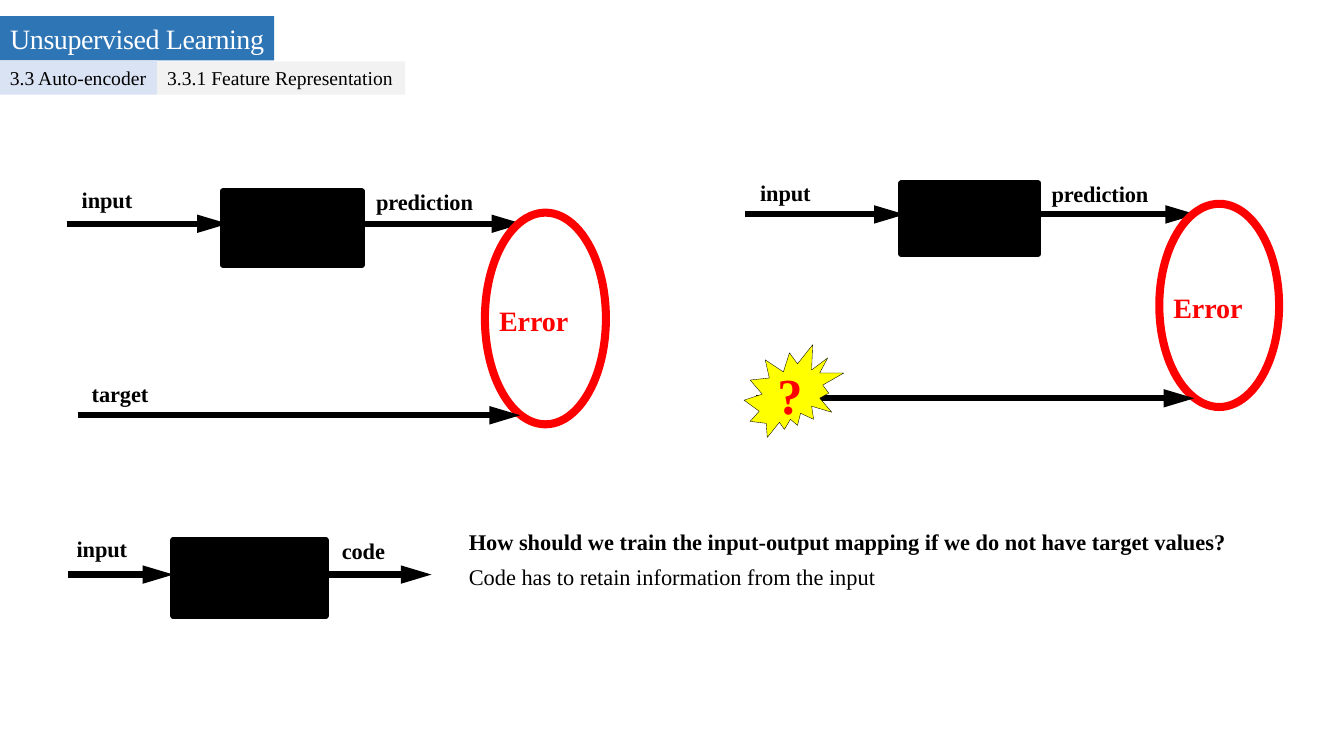
from lxml import etree
from pptx import Presentation
from pptx.dml.color import RGBColor
from pptx.enum.shapes import MSO_CONNECTOR, MSO_SHAPE
from pptx.enum.text import MSO_ANCHOR, MSO_AUTO_SIZE, PP_ALIGN
from pptx.oxml.ns import qn
from pptx.util import Inches, Pt

RECTANGLE, OVAL = MSO_SHAPE.RECTANGLE, MSO_SHAPE.OVAL
STRAIGHT = MSO_CONNECTOR.STRAIGHT
MIDDLE, TOP = MSO_ANCHOR.MIDDLE, MSO_ANCHOR.TOP
LEFT = PP_ALIGN.LEFT
NO_AUTOFIT = MSO_AUTO_SIZE.NONE

COLORS = {name: RGBColor.from_string(value) for name, value in {
    "black": "000000", "white": "FFFFFF", "red": "FF0000", "yellow": "FFFF00",
    "banner": "2E75B6", "section": "DAE3F3", "topic": "F2F2F2",
}.items()}

prs = Presentation()
prs.slide_width, prs.slide_height = Inches(13.33), Inches(7.5)
slide = prs.slides.add_slide(prs.slide_layouts[1])
shapes = slide.shapes


def write(shape, text, size, color="black", bold=False, spacing=0, inset=0.0, anchor=TOP):
    """Fill a shape with left-aligned text; spacing is in hundredths of a point."""
    frame = shape.text_frame
    frame.text = text
    frame.auto_size = NO_AUTOFIT
    frame.word_wrap = False
    frame.vertical_anchor = anchor
    frame.margin_left = frame.margin_right = Inches(inset)
    frame.margin_top = frame.margin_bottom = Inches(inset / 2)
    for paragraph in frame.paragraphs:
        paragraph.alignment = LEFT
        for run in paragraph.runs:
            run.font.name = "Times New Roman"
            run.font.size = Pt(size)
            run.font.bold = bold
            run.font.color.rgb = COLORS[color]
            run._r.get_or_add_rPr().set("spc", str(spacing))


def add_arrow(start, end, y):
    arrow = shapes.add_connector(STRAIGHT, Inches(start), Inches(y), Inches(end), Inches(y))
    arrow.line.color.rgb = COLORS["black"]
    arrow.line.width = Pt(4.4)
    etree.SubElement(arrow.get_or_add_ln(), qn("a:tailEnd"), type="triangle", w="med", len="lg")
    etree.SubElement(arrow._element.spPr, qn("a:effectLst"))


# Heading tags
banner = shapes.title
section = shapes.add_shape(RECTANGLE, 0, 0, 0, 0)
topic = shapes.add_shape(RECTANGLE, 0, 0, 0, 0)
for tag, text, left, top, width, height, fill, color, size, spacing in [
    (banner, "Unsupervised Learning", 0, 0.16, 2.72, 0.44, "banner", "white", 20, -30),
    (section, "3.3 Auto-encoder", 0, 0.6, 1.56, 0.34, "section", "black", 14, 0),
    (topic, "3.3.1 Feature Representation", 1.56, 0.61, 2.46, 0.33, "topic", "black", 14, 0),
]:
    tag.left, tag.top = Inches(left), Inches(top)
    tag.width, tag.height = Inches(width), Inches(height)
    tag.fill.solid()
    tag.fill.fore_color.rgb = COLORS[fill]
    tag.line.fill.background()
    tag.shadow.inherit = False
    write(tag, text, size, color, spacing=spacing, inset=0.1, anchor=MIDDLE)

# Black boxes of the three diagrams
for left, top, width, height in [
    (2.21, 1.9, 1.38, 0.73), (8.94, 1.82, 1.36, 0.7), (1.72, 5.36, 1.51, 0.75),
]:
    mapping = shapes.add_shape(RECTANGLE, Inches(left), Inches(top), Inches(width), Inches(height))
    mapping.shadow.inherit = False
    mapping.fill.solid()
    mapping.fill.fore_color.rgb = mapping.line.color.rgb = COLORS["black"]
    mapping.line.width = Pt(4.3)
    etree.SubElement(mapping.get_or_add_ln(), qn("a:round"))

# Training with and without targets: same layout, the right one slightly smaller
labels = [
    ("input", 0.81, 1.85, 0.59, 16, "black"),
    ("prediction", 3.73, 1.87, 1.18, 16, "black"),
    ("Error", 4.95, 3.01, 0.94, 20, "red"),
    ("target", 0.91, 3.77, 0.77, 16, "black"),
]
base_x, base_y = 0.66, 1.9
for origin_x, origin_y, scale_x, scale_y, has_target in [
    (base_x, base_y, 1, 1, True), (7.39, 1.82, 0.99, 0.96, False),
]:
    arrows = [
        (origin_x + (start - base_x) * scale_x, origin_x + (end - base_x) * scale_x,
         origin_y + (y - base_y) * scale_y)
        for start, end, y in [(0.66, 2.26, 2.22), (3.58, 5.18, 2.22), (0.77, 5.16, 4.12)]
    ]
    for arrow in arrows[:2]:
        add_arrow(*arrow)
    error_ring = shapes.add_shape(
        OVAL, Inches(origin_x + 4.15 * scale_x), Inches(origin_y + 0.21 * scale_y),
        Inches(1.2 * scale_x), Inches(2.1 * scale_y))
    error_ring.shadow.inherit = False
    error_ring.fill.background()
    error_ring.line.color.rgb = COLORS["red"]
    error_ring.line.width = Pt(5.75)
    add_arrow(*arrows[2])
    for text, x, y, width, size, color in labels:
        if text == "target" and not has_target:
            continue
        label = shapes.add_textbox(
            Inches(origin_x + (x - base_x) * scale_x), Inches(origin_y + (y - base_y) * scale_y),
            Inches(width), Inches(size / 60))
        write(label, text, size, color, bold=True, spacing=-5)

# Burst in place of the missing target, in hundredths of an inch
burst_points = [
    (791, 361), (783, 350), (777, 369), (759, 357), (763, 375), (744, 377),
    (756, 391), (738, 397), (753, 408), (744, 418), (760, 420), (761, 434),
    (773, 419), (778, 426), (784, 416), (791, 422), (794, 410), (807, 416),
    (805, 403), (825, 409), (813, 395), (822, 390), (816, 382), (837, 370),
    (813, 370), (821, 355), (805, 367), (806, 342),
]
outline = shapes.build_freeform(*burst_points[0], scale=Inches(0.01))
outline.add_line_segments(burst_points[1:], close=True)
burst = outline.convert_to_shape()
burst.shadow.inherit = False
burst.fill.solid()
burst.fill.fore_color.rgb = COLORS["yellow"]
burst.line.color.rgb = COLORS["black"]
burst.line.width = Pt(0.25)
question_mark = shapes.add_textbox(Inches(7.71), Inches(3.61), Inches(0.35), Inches(0.61))
write(question_mark, "?", 36, "red", bold=True, spacing=-30)

# Encoder diagram
for text, label_left, label_top, start, end in [
    ("input", 0.76, 5.31, 0.67, 1.72), ("code", 3.39, 5.33, 3.23, 4.28),
]:
    add_arrow(start, end, 5.7)
    label = shapes.add_textbox(Inches(label_left), Inches(label_top), Inches(0.7), Inches(0.27))
    write(label, text, 16, bold=True, spacing=-5)

# Question and answer
answer = slide.placeholders[1]
answer.left, answer.top = Inches(4.55), Inches(5.11)
answer.width, answer.height = Inches(8.47), Inches(0.8)
write(answer, "How should we train the input-output mapping if we do not have target values?\n"
      "Code has to retain information from the input", 16, inset=0.1)
answer.text_frame.word_wrap = True
for paragraph in answer.text_frame.paragraphs:
    paragraph.line_spacing = 1.3
    paragraph.space_before = Pt(0)
    properties = paragraph._p.get_or_add_pPr()
    properties.set("marL", "0")
    properties.set("indent", "0")
    etree.SubElement(properties, qn("a:buNone"))
answer.text_frame.paragraphs[0].runs[0].font.bold = True

prs.save("out.pptx")
